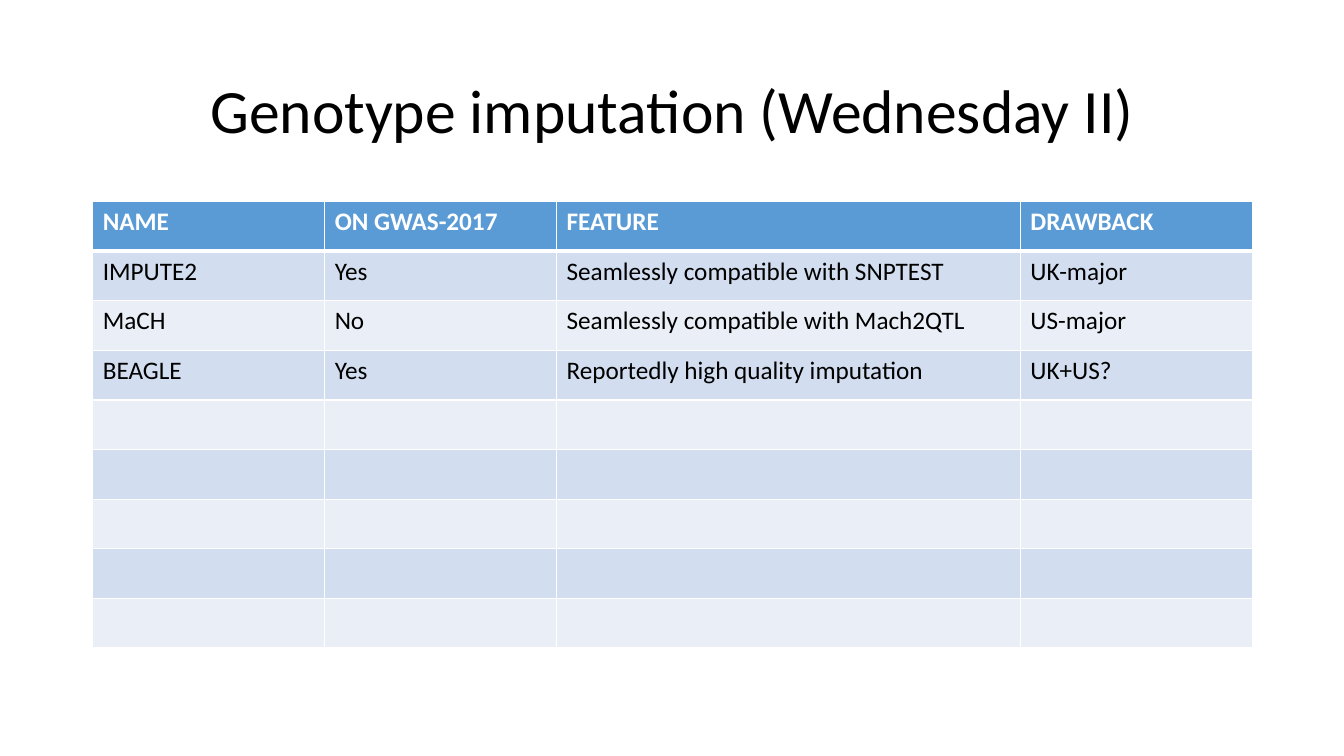
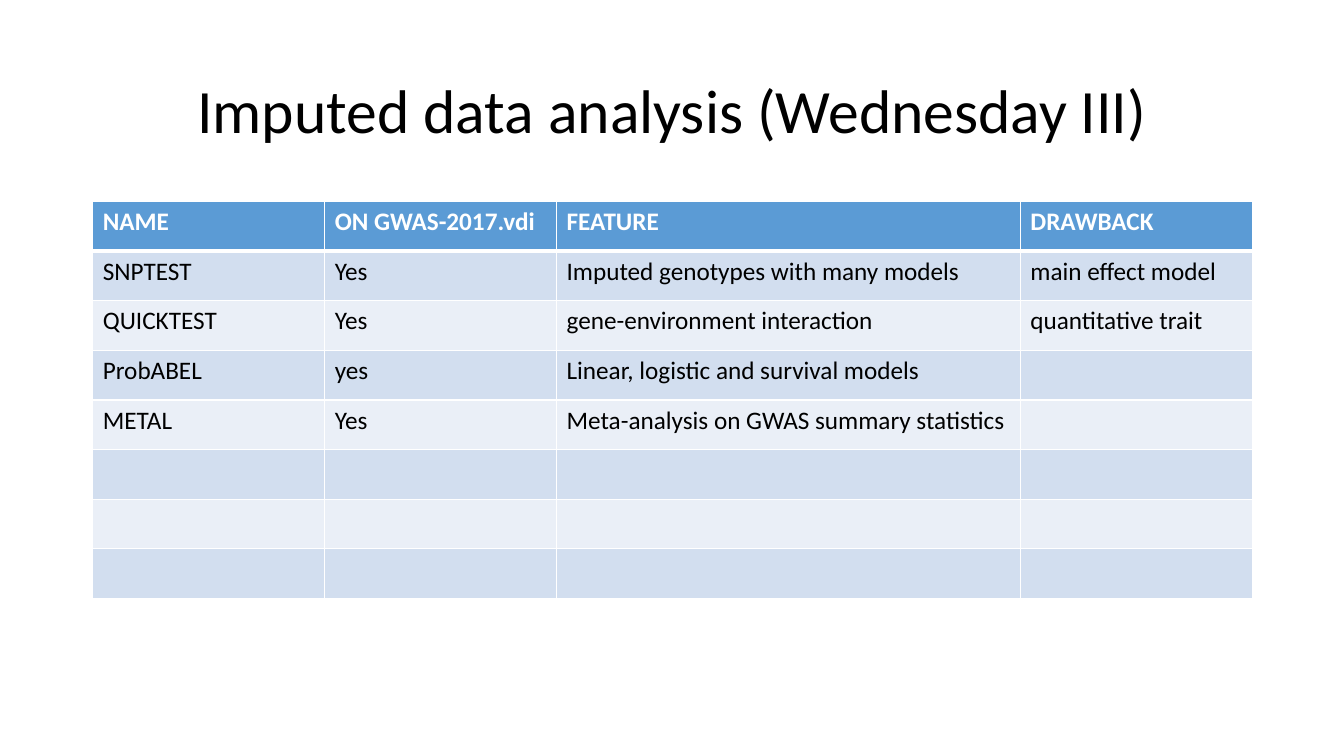
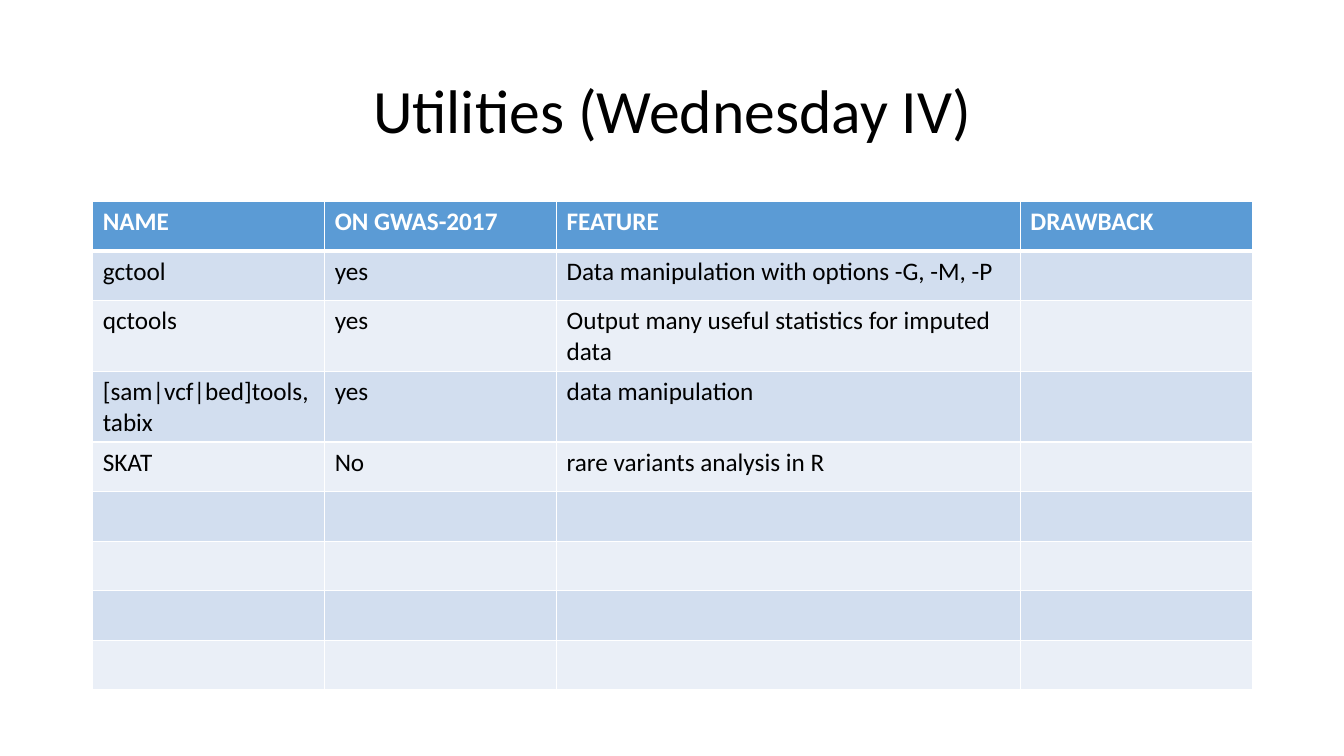
import lxml.etree
import pptx
import pptx.dml.color
import pptx.enum.text
import pptx.oxml.ns
import pptx.util

Inches = pptx.util.Inches
COLORS = {"header": "5B9BD5", "odd": "D2DEEF", "even": "EAEFF7",
          "white": "FFFFFF", "black": "000000"}
FONT = "Calibri"
TITLE_BOX = (0.92, 0.4, 11.5, 1.45)
TABLE_BOX = (0.92, 2, 11.5, 4.43)
FULL_ROWS = 9
COLUMN_SHARES = (0.2, 0.2, 0.4, 0.2)

SLIDES = [
    {"title": "Genotype imputation (Wednesday II)",
     "machine": "ON GWAS-2017",
     "row_count": 9,
     "tools": [
         ("IMPUTE2", "Yes", "Seamlessly compatible with SNPTEST", "UK-major"),
         ("MaCH", "No", "Seamlessly compatible with Mach2QTL", "US-major"),
         ("BEAGLE", "Yes", "Reportedly high quality imputation", "UK+US?")]},
    {"title": "Imputed data analysis (Wednesday III)",
     "machine": "ON GWAS-2017.vdi",
     "row_count": 8,
     "tools": [
         ("SNPTEST", "Yes", "Imputed genotypes with many models", "main effect model"),
         ("QUICKTEST", "Yes", "gene-environment interaction", "quantitative trait"),
         ("ProbABEL", "yes", "Linear, logistic and survival models", ""),
         ("METAL", "Yes", "Meta-analysis on GWAS summary statistics", "")]},
    {"title": "Utilities (Wednesday IV)",
     "machine": "ON GWAS-2017",
     "row_count": 9,
     "tools": [
         ("gctool", "yes", "Data manipulation with options -G, -M, -P", ""),
         ("qctools", "yes", "Output many useful statistics for imputed data", ""),
         ("[sam|vcf|bed]tools, tabix", "yes", "data manipulation", ""),
         ("SKAT", "No", "rare variants analysis in R", "")]},
]


def rgb(name):
    """Return the named palette colour."""
    return pptx.dml.color.RGBColor.from_string(COLORS[name])


def write_text(tf, text, size=18, color="black", bold=False, align=None, spacing=None):
    """Write one formatted paragraph into a text frame."""
    p = tf.paragraphs[0]
    p.alignment = align
    p.line_spacing = spacing
    r = p.add_run()
    r.text = text
    r.font.name = FONT
    r.font.size = pptx.util.Pt(size)
    r.font.bold = bold
    r.font.color.rgb = rgb(color)


def add_title(s, box, text):
    """Place a centred slide title in the box."""
    sp = s.shapes.add_textbox(*map(Inches, box))
    tf = sp.text_frame
    tf.word_wrap = True
    tf.vertical_anchor = pptx.enum.text.MSO_ANCHOR.MIDDLE
    write_text(tf, text, size=44, align=pptx.enum.text.PP_ALIGN.CENTER, spacing=0.9)


def set_borders(cell, top=1, bottom=1):
    """Draw white borders round a cell, with widths in points."""
    qn = pptx.oxml.ns.qn
    props = cell._tc.get_or_add_tcPr()
    for side, width in (("L", 1), ("R", 1), ("T", top), ("B", bottom)):
        line = lxml.etree.SubElement(props, qn(f"a:ln{side}"), w=str(pptx.util.Pt(width)))
        fill = lxml.etree.SubElement(line, qn("a:solidFill"))
        lxml.etree.SubElement(fill, qn("a:srgbClr"), val=COLORS["white"])


def add_tool_table(s, box, machine, tools, row_count):
    """Place a banded table of tools whose full row count fills the box."""
    left, top, width, height = box
    row_height = height / FULL_ROWS
    table = s.shapes.add_table(row_count, len(COLUMN_SHARES), Inches(left), Inches(top),
                               Inches(width), Inches(row_height * row_count)).table
    for column, share in zip(table.columns, COLUMN_SHARES):
        column.width = Inches(width * share)
    rows = [("NAME", machine, "FEATURE", "DRAWBACK"), *tools]
    rows += [("",) * len(COLUMN_SHARES)] * (row_count - len(rows))
    for i, texts in enumerate(rows):
        is_header = i == 0
        band = "header" if is_header else "odd" if i % 2 else "even"
        for j, text in enumerate(texts):
            cell = table.cell(i, j)
            set_borders(cell, top=3 if i == 1 else 1, bottom=3 if is_header else 1)
            cell.fill.solid()
            cell.fill.fore_color.rgb = rgb(band)
            if text:
                write_text(cell.text_frame, text, bold=is_header,
                           color="white" if is_header else "black")


def add_tool_slide(prs, title, **table):
    """Add a slide with a title above a table of tools."""
    s = prs.slides.add_slide(prs.slide_layouts[6])
    add_title(s, TITLE_BOX, title)
    add_tool_table(s, TABLE_BOX, **table)


def main():
    """Build and save the presentation."""
    prs = pptx.Presentation()
    prs.slide_width, prs.slide_height = Inches(13.33), Inches(7.5)
    for content in SLIDES:
        add_tool_slide(prs, **content)
    prs.save("out.pptx")


if __name__ == "__main__":
    main()
